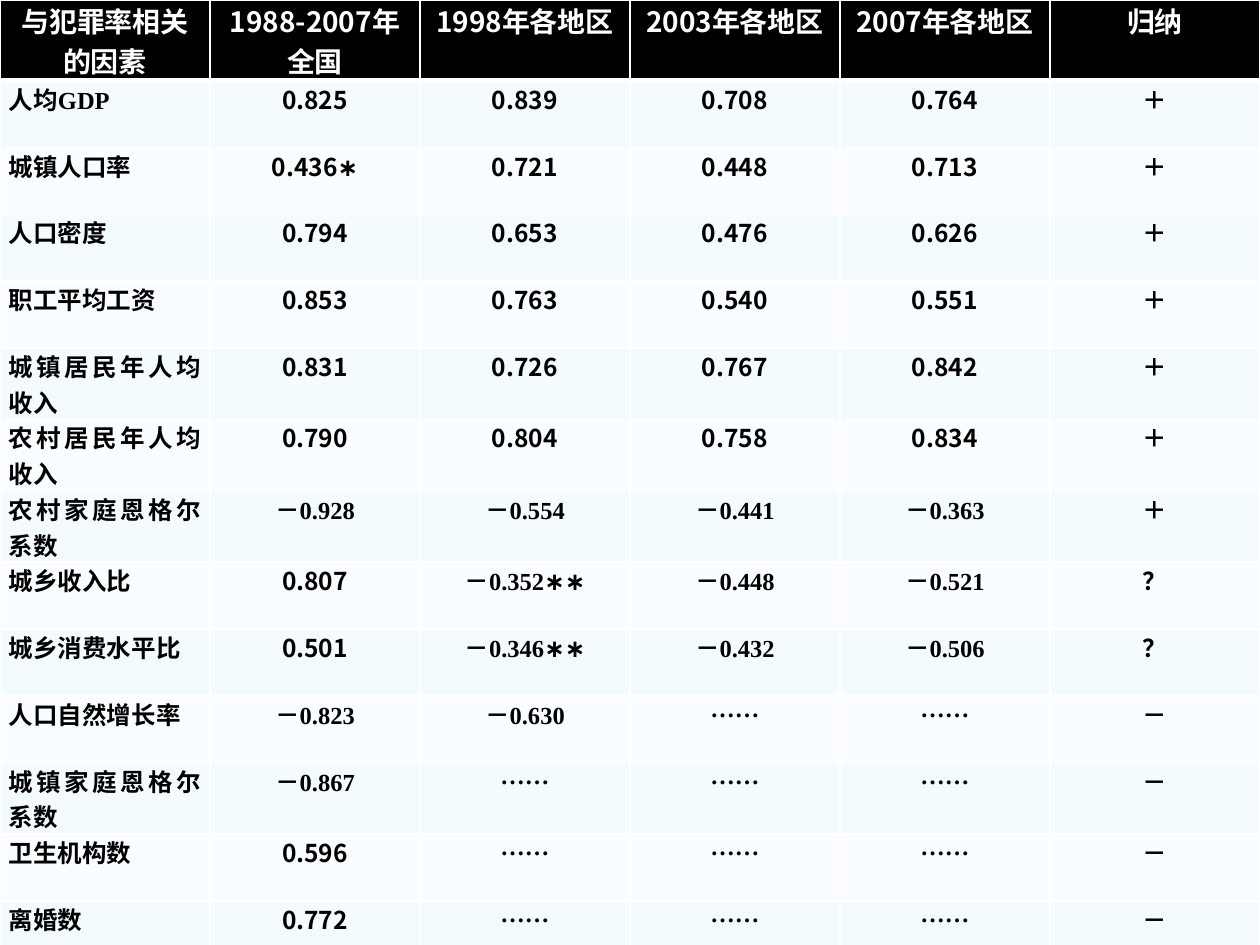
from lxml.etree import SubElement, fromstring
from pptx import Presentation
from pptx.dml.color import RGBColor
from pptx.enum.text import PP_ALIGN
from pptx.oxml.ns import nsdecls, qn
from pptx.util import Inches, Pt

BLACK = RGBColor(0, 0, 0)
WHITE = RGBColor(0xFF, 0xFF, 0xFF)
BANDS = [RGBColor(0xF9, 0xFD, 0xFF), RGBColor(0xF4, 0xFB, 0xFF)]
SANS = "Noto Sans CJK SC"
SERIF = "Times New Roman"
INSETS = {
    "margin_left": Inches(0.07),
    "margin_right": Inches(0.07),
    "margin_top": 0,
    "margin_bottom": 0,
}
ROWS = [
    ["与犯罪率相关的因素", "1988-2007年全国", "1998年各地区", "2003年各地区", "2007年各地区", "归纳"],
    ["人均GDP", "0.825", "0.839", "0.708", "0.764", "＋"],
    ["城镇人口率", "0.436∗", "0.721", "0.448", "0.713", "＋"],
    ["人口密度", "0.794", "0.653", "0.476", "0.626", "＋"],
    ["职工平均工资", "0.853", "0.763", "0.540", "0.551", "＋"],
    ["城镇居民年人均收入", "0.831", "0.726", "0.767", "0.842", "＋"],
    ["农村居民年人均收入", "0.790", "0.804", "0.758", "0.834", "＋"],
    ["农村家庭恩格尔系数", "－0.928", "－0.554", "－0.441", "－0.363", "＋"],
    ["城乡收入比", "0.807", "－0.352∗∗", "－0.448", "－0.521", "？"],
    ["城乡消费水平比", "0.501", "－0.346∗∗", "－0.432", "－0.506", "？"],
    ["人口自然增长率", "－0.823", "－0.630", "……", "……", "－"],
    ["城镇家庭恩格尔系数", "－0.867", "……", "……", "……", "－"],
    ["卫生机构数", "0.596", "……", "……", "……", "－"],
    ["离婚数", "0.772", "……", "……", "……", "－"],
]


def add_run(para, text, face, size, color):
    run = para.add_run()
    run.text = text
    run.font.color.rgb = color
    for name, value in {"name": face, "size": Pt(size), "bold": True}.items():
        setattr(run.font, name, value)
    SubElement(run.font._element, qn("a:ea"), typeface=SANS)


def add_edges(cell, widths):
    props = cell._tc.get_or_add_tcPr()
    for spot, (side, width) in enumerate(widths.items()):
        props.insert(spot, fromstring(
            f'<a:ln{side} {nsdecls("a")} w="{Pt(width)}"><a:solidFill>'
            f'<a:srgbClr val="{WHITE}"/></a:solidFill></a:ln{side}>'))


deck = Presentation()
deck.slide_width, deck.slide_height = Inches(10), Inches(7.5)
slide = deck.slides.add_slide(deck.slide_layouts[6])
table = slide.shapes.add_table(
    len(ROWS), len(ROWS[0]), 0, 0, Inches(10), Inches(7.44)).table
for row in table.rows:
    row.height = Inches(0.53)

for r, line in enumerate(ROWS):
    head = r == 0
    size, color = (16, WHITE) if head else (14, BLACK)
    for c, text in enumerate(line):
        cell = table.cell(r, c)
        for name, value in INSETS.items():
            setattr(cell, name, value)
        cell.fill.solid()
        cell.fill.fore_color.rgb = BLACK if head else BANDS[r % 2]
        add_edges(cell, {"L": 1, "R": 1, "T": 3 if r == 1 else 1, "B": 3 if head else 1})

        para = cell.text_frame.paragraphs[0]
        para.alignment = PP_ALIGN.JUSTIFY if c == 0 and not head else PP_ALIGN.CENTER
        sans = head or text[0].isdigit()
        main = text if sans else text.rstrip("∗")
        add_run(para, main, SANS if sans else SERIF, size, color)
        if main != text:
            add_run(para, text[len(main):], SANS, size, color)

deck.save("out.pptx")
